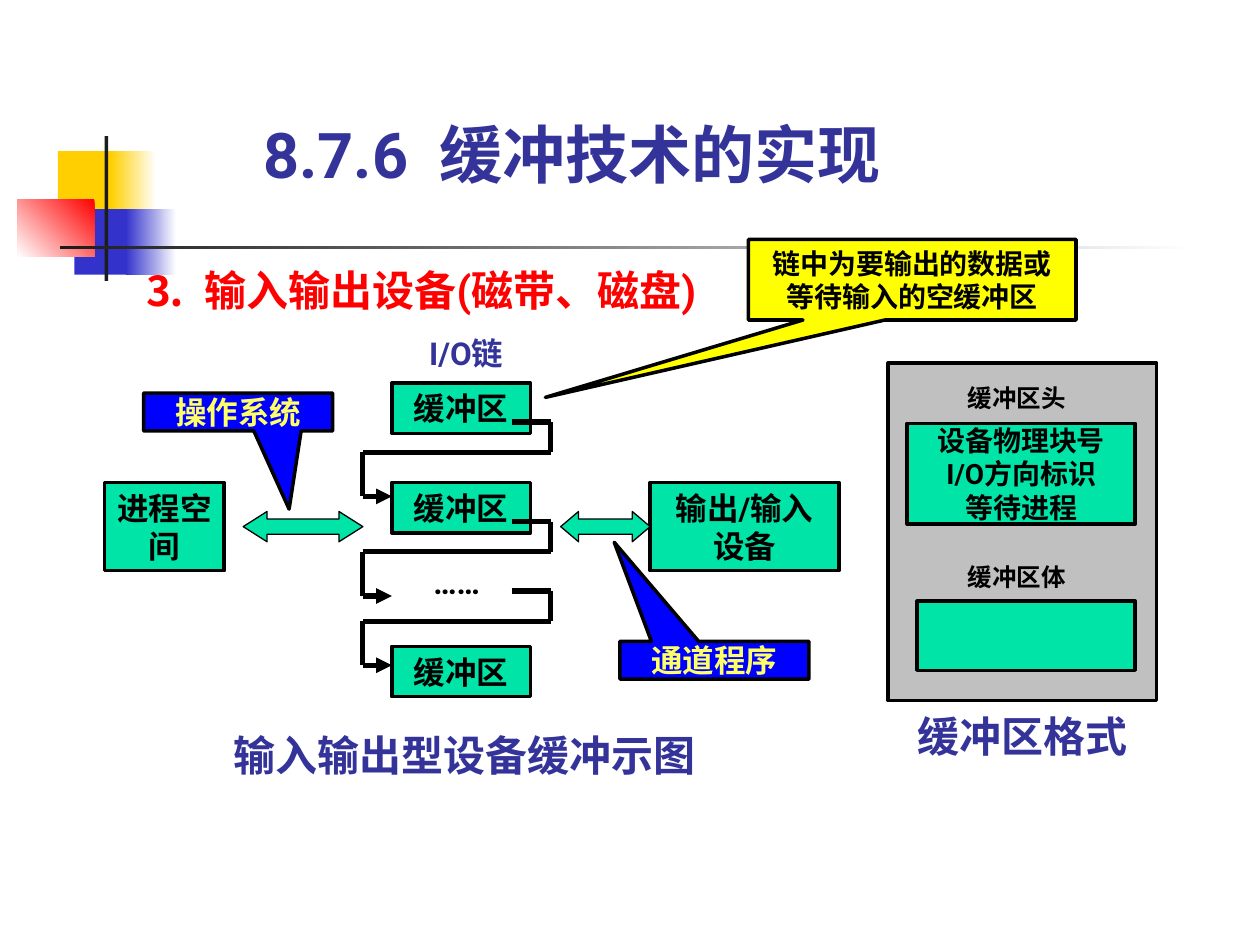
from lxml import etree
from pptx import Presentation
from pptx.dml.color import RGBColor
from pptx.enum.shapes import MSO_CONNECTOR as Connector, MSO_SHAPE as Shape
from pptx.enum.text import MSO_ANCHOR as Anchor, PP_ALIGN as Align
from pptx.oxml import parse_xml
from pptx.oxml.ns import nsdecls, qn
from pptx.util import Inches, Pt

COLORS = {
    "black": "000000", "white": "FFFFFF", "ink": "1C1C1C", "gold": "FFCF01",
    "indigo": "3333CC", "red": "FF0000", "green": "00E4A8", "gray": "C0C0C0",
    "navy": "333399", "blue": "0000FF", "lemon": "FFFF66", "yellow": "FFFF00",
}
COLUMNS, ROWS = 100, 75


class Canvas:
    """Draws on one slide; every place and size is in grid columns and rows."""
    font = "Roboto"

    def __init__(self, deck):
        self.page = deck.slides.add_slide(deck.slide_layouts[6])
        self.cell_width = deck.slide_width / COLUMNS
        self.cell_height = deck.slide_height / ROWS
        self.shapes = self.page.shapes

    def start_group(self):
        self.shapes = self.page.shapes.add_group_shape().shapes

    def end_group(self):
        self.shapes = self.page.shapes

    def color(self, name):
        return RGBColor.from_string(COLORS[name])

    def place(self, column, row, width, height):
        return (round(column * self.cell_width), round(row * self.cell_height),
                round(width * self.cell_width), round(height * self.cell_height))

    def set_text(self, box, lines, size, color, align, anchor, insets=(0, 0)):
        frame = box.text_frame
        frame.word_wrap = True
        frame.vertical_anchor = anchor
        frame.margin_left = frame.margin_right = Inches(insets[0])
        frame.margin_top = frame.margin_bottom = Inches(insets[1])
        frame.text = lines
        for para in frame.paragraphs:
            para.alignment = align
            para.font.name = self.font
            para.font.size = Pt(size)
            para.font.bold = True
            para.font.color.rgb = self.color(color)

    def text(self, place, words, size, color="navy", align=Align.LEFT,
             anchor=Anchor.TOP):
        box = self.shapes.add_textbox(*self.place(*place))
        self.set_text(box, words, size, color, align, anchor)

    def shape(self, place, fill, kind=Shape.RECTANGLE, line=2, adjust=()):
        box = self.shapes.add_shape(kind, *self.place(*place))
        box.shadow.inherit = False
        box.fill.solid()
        box.fill.fore_color.rgb = self.color(fill)
        if line:
            box.line.color.rgb = self.color("black")
            box.line.width = Pt(line)
        else:
            box.line.fill.background()
        for index, value in enumerate(adjust):
            box.adjustments[index] = value
        return box

    def fade(self, place, start, end, angle=180):
        """Gradient block; the angle runs counter-clockwise."""
        box = self.shape(place, start, line=0)
        box.fill.gradient()
        box.fill.gradient_angle = angle
        for stop, name in zip(box.fill.gradient_stops, (start, end)):
            stop.color.rgb = self.color(name)

    def label_box(self, place, words, size=18, insets=(0.1, 0.05)):
        box = self.shape(place, "green")
        self.set_text(box, words, size, "black", Align.CENTER, Anchor.TOP,
                      insets)

    def callout(self, place, words, tip, fill="blue", color="lemon", size=18,
                anchor=Anchor.TOP, insets=(0, 0)):
        box = self.shape(place, fill, Shape.RECTANGULAR_CALLOUT, adjust=tip)
        self.set_text(box, words, size, color, Align.CENTER, anchor, insets)

    def double_arrow(self, place, head):
        self.shape(place, "green", Shape.LEFT_RIGHT_ARROW, 0.75, (0.5, head))

    def line(self, start, end, arrow=False):
        ends = self.place(*start, *end)
        connector = self.shapes.add_connector(Connector.STRAIGHT, *ends)
        connector.line.color.rgb = self.color("black")
        connector.line.width = Pt(3)
        if arrow:
            connector.line._get_or_add_ln().append(
                parse_xml(f'<a:tailEnd {nsdecls("a")} type="triangle"/>'))
        etree.SubElement(connector._element.spPr, qn("a:effectLst"))

    def chain_link(self, row):
        """Path from the right side of one buffer to the left of the next."""
        points = [(40.6, row), (43.7, row), (43.7, row + 2.4),
                  (28.8, row + 2.4), (28.8, row + 5.9), (31.1, row + 5.9)]
        self.start_group()
        for start, end in zip(points, points[1:]):
            self.line(start, end, arrow=end == points[-1])
        self.end_group()


def draw_ornament(canvas):
    canvas.shape((4.6, 12, 4.8, 5.2), "gold", line=0)
    canvas.fade((8.8, 12, 3.6, 5.2), "white", "gold")
    canvas.shape((5.9, 16.6, 4.6, 5.2), "indigo", line=0)
    canvas.fade((10, 16.6, 4, 5.2), "white", "indigo")
    canvas.fade((1.4, 15.8, 6.1, 4.6), "red", "white", angle=225)
    canvas.shape((8.3, 10.8, 0.3, 11.5), "ink", line=0)
    canvas.fade((4.8, 19.5, 90, 0.3), "white", "ink")


def draw_buffer_chain(canvas):
    canvas.text((11.4, 21, 46.5, 4), "⒊  输入输出设备(磁带、磁盘)", 24, "red")
    canvas.label_box((51.6, 38.3, 15, 7), "输出/输入设备")
    for row in (30.4, 38.3, 51.3):
        canvas.label_box((31.1, row, 11, 4), "缓冲区")
    canvas.text((32.7, 44.7, 7.1, 3), "……", 18, "black", Align.CENTER)
    for row in (33.5, 41.4, 46.9):
        canvas.chain_link(row)
    canvas.label_box((8.3, 38.3, 9.5, 7), "进程空间")
    canvas.text((31.9, 26.5, 10.2, 3), "I/O链", 18, align=Align.CENTER)
    canvas.callout((49.2, 50.9, 15, 3), "通道程序", (-0.53, -3.12))
    canvas.callout((11.4, 31.2, 15, 3), "操作系统", (0.27, 2.57))
    canvas.text((18.5, 57.9, 39.4, 4), "输入输出型设备缓冲示图", 24)
    canvas.double_arrow((19.3, 40.6, 9.5, 2.4), 0.79)
    canvas.double_arrow((44.5, 40.6, 7.1, 2.4), 0.59)


def draw_buffer_format(canvas):
    canvas.start_group()
    canvas.shape((70.5, 28.8, 21.3, 26.8), "gray")
    for row, words in ((30.4, "缓冲区头"), (44.6, "缓冲区体")):
        canvas.text((76.8, row, 7.9, 2.3), words, 14, "black")
    canvas.label_box((72, 33.6, 18.1, 8),
                     "设备物理块号\nI/O方向标识\n等待进程", 16, (0, 0))
    canvas.shape((72.8, 47.7, 17.3, 5.5), "green")
    canvas.text((71.3, 56.4, 19.7, 4), "缓冲区格式", 24, align=Align.CENTER)
    canvas.end_group()


def main():
    deck = Presentation()
    deck.slide_width, deck.slide_height = Inches(10), Inches(7.5)
    canvas = Canvas(deck)
    draw_ornament(canvas)
    draw_buffer_chain(canvas)
    draw_buffer_format(canvas)
    canvas.text((20.9, 9.2, 56.7, 6), "8.7.6  缓冲技术的实现", 36,
                anchor=Anchor.BOTTOM)
    canvas.callout((59.4, 19, 26, 6.4), "链中为要输出的数据或等待输入的空缓冲区",
                   (-1.12, 1.46), "yellow", "black", 16, Anchor.MIDDLE,
                   (0.1, 0.05))
    deck.save("out.pptx")


if __name__ == "__main__":
    main()
